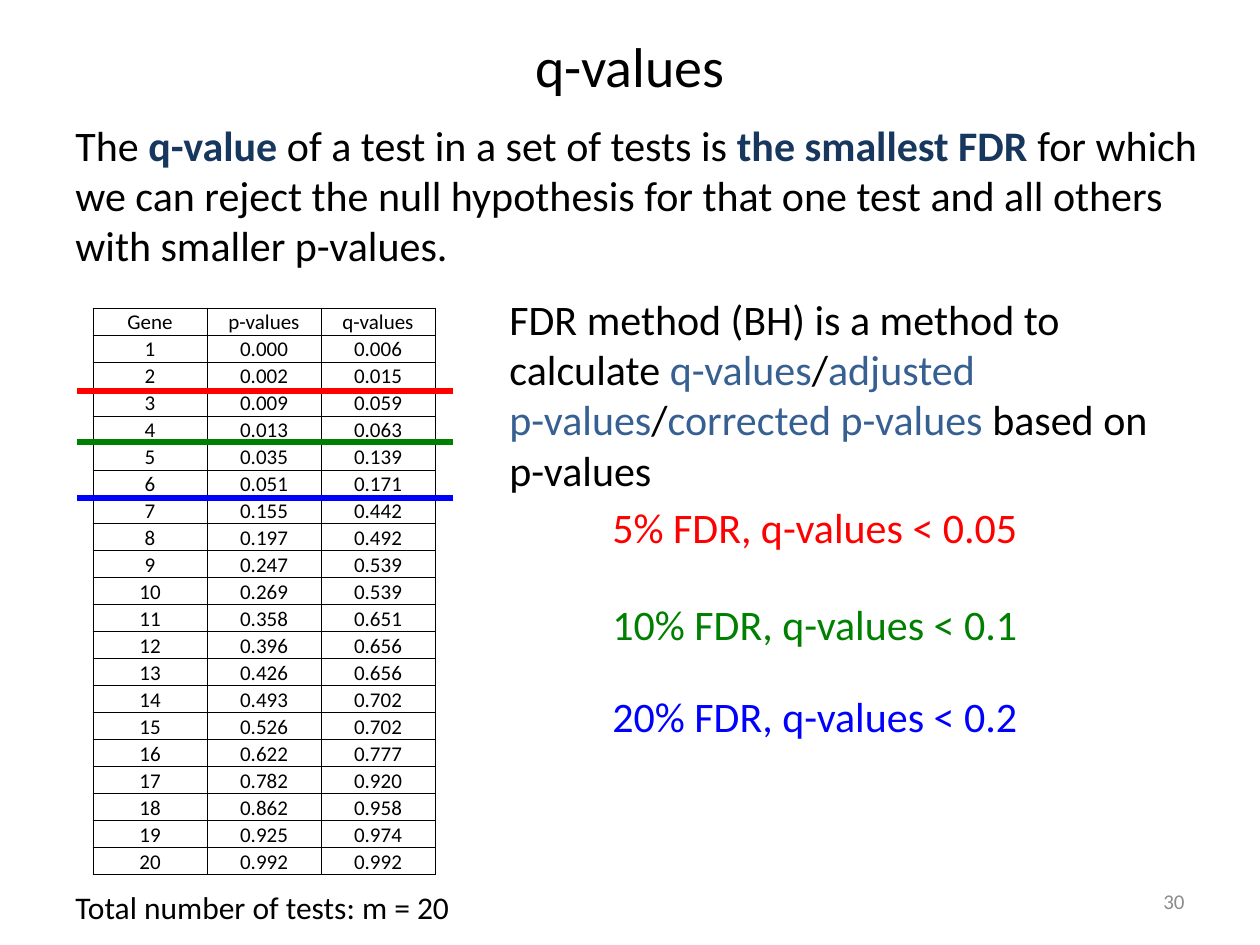
from typing import NamedTuple

import pptx
import pptx.dml.color
import pptx.enum.shapes
import pptx.enum.text
import pptx.oxml
import pptx.oxml.ns
import pptx.util

EMU_PER_PX = 914400 / 126
FONT = "Calibri"
BLACK, NAVY, BLUE, GREY = "000000", "17375E", "376092", "8C8C8C"
ALIGN = pptx.enum.text.PP_ALIGN
ANCHOR = pptx.enum.text.MSO_ANCHOR
AUTOFIT = pptx.enum.text.MSO_AUTO_SIZE


class Run(NamedTuple):
    text: str
    color: str = BLACK
    bold: bool = False


class Box(NamedTuple):
    left: int
    top: int
    width: int
    height: int


class Threshold(NamedTuple):
    label: str
    color: str
    line_y: int
    label_top: int


GENE_ROWS = [
    ("Gene", "p-values", "q-values"),
    ("1", "0.000", "0.006"),
    ("2", "0.002", "0.015"),
    ("3", "0.009", "0.059"),
    ("4", "0.013", "0.063"),
    ("5", "0.035", "0.139"),
    ("6", "0.051", "0.171"),
    ("7", "0.155", "0.442"),
    ("8", "0.197", "0.492"),
    ("9", "0.247", "0.539"),
    ("10", "0.269", "0.539"),
    ("11", "0.358", "0.651"),
    ("12", "0.396", "0.656"),
    ("13", "0.426", "0.656"),
    ("14", "0.493", "0.702"),
    ("15", "0.526", "0.702"),
    ("16", "0.622", "0.777"),
    ("17", "0.782", "0.920"),
    ("18", "0.862", "0.958"),
    ("19", "0.925", "0.974"),
    ("20", "0.992", "0.992"),
]

THRESHOLDS = [
    Threshold("5% FDR, q-values < 0.05", "FF0000", 391, 485),
    Threshold("10% FDR, q-values < 0.1", "008000", 442, 582),
    Threshold("20% FDR, q-values < 0.2", "0000FF", 498, 674),
]


def px(length: int) -> int:
    return round(length * EMU_PER_PX)


def rgb(color: str) -> pptx.dml.color.RGBColor:
    return pptx.dml.color.RGBColor.from_string(color)


def write(frame, runs: list[Run], size=24, align=ALIGN.LEFT, spacing=None, before=None) -> None:
    paragraph = frame.paragraphs[0]
    paragraph.alignment = align
    paragraph.line_spacing = spacing
    paragraph.space_before = before
    for part in runs:
        run = paragraph.add_run()
        run.text = part.text
        run.font.name = FONT
        run.font.size = pptx.util.Pt(size)
        run.font.bold = part.bold
        run.font.color.rgb = rgb(part.color)


def add_text(shapes, box: Box, runs: list[Run], anchor=ANCHOR.TOP, wrap=True,
             autofit=AUTOFIT.NONE, **text_format) -> None:
    frame = shapes.add_textbox(*map(px, box)).text_frame
    frame.word_wrap = wrap
    frame.auto_size = autofit
    frame.vertical_anchor = anchor
    write(frame, runs, **text_format)


def add_cell_borders(cell) -> None:
    properties = cell._tc.get_or_add_tcPr()
    for position, side in enumerate(("lnL", "lnR", "lnT", "lnB")):
        border = pptx.oxml.parse_xml(
            f'<a:{side} {pptx.oxml.ns.nsdecls("a")} w="6350"><a:solidFill>'
            f'<a:srgbClr val="{BLACK}"/></a:solidFill></a:{side}>'
        )
        properties.insert(position, border)


def add_gene_table(shapes, left: int, top: int, column_width: int, row_height: int) -> None:
    row_count, column_count = len(GENE_ROWS), len(GENE_ROWS[0])
    box = Box(left, top, column_width * column_count, row_height * row_count)
    genes = shapes.add_table(row_count, column_count, *map(px, box)).table
    genes.first_row = genes.horz_banding = False
    for column in genes.columns:
        column.width = px(column_width)
    for row, values in zip(genes.rows, GENE_ROWS):
        row.height = px(row_height)
        for cell, value in zip(row.cells, values):
            cell.fill.background()
            cell.vertical_anchor = ANCHOR.BOTTOM
            cell.margin_left = cell.margin_right = cell.margin_top = px(1)
            cell.margin_bottom = 0
            write(cell.text_frame, [Run(value)], size=12, align=ALIGN.CENTER)
            add_cell_borders(cell)


def add_threshold(shapes, threshold: Threshold) -> None:
    members = shapes.add_group_shape().shapes
    y = px(threshold.line_y)
    cutoff = members.add_connector(
        pptx.enum.shapes.MSO_CONNECTOR.STRAIGHT, px(77), y, px(453), y
    )
    cutoff.line.color.rgb = rgb(threshold.color)
    cutoff.line.width = pptx.util.Pt(3)
    cutoff._element.spPr.append(
        pptx.oxml.parse_xml(f'<a:effectLst {pptx.oxml.ns.nsdecls("a")}/>')
    )
    add_text(members, Box(600, threshold.label_top, 450, 72),
             [Run(threshold.label, threshold.color)],
             autofit=AUTOFIT.SHAPE_TO_FIT_TEXT, spacing=1.2)


def main() -> None:
    deck = pptx.Presentation()
    deck.slide_width, deck.slide_height = px(1260), px(945)
    shapes = deck.slides.add_slide(deck.slide_layouts[6]).shapes

    add_text(shapes, Box(63, 26, 1134, 78), [Run("q-values")],
             anchor=ANCHOR.MIDDLE, size=32, align=ALIGN.CENTER)
    add_text(shapes, Box(63, 113, 1155, 166), [
        Run("The "),
        Run("q-value ", NAVY, True),
        Run("of a test in a set of tests is "),
        Run("the smallest FDR ", NAVY, True),
        Run("for which we can reject the null hypothesis for that one test "
            "and all others with smaller p-values."),
    ], before=pptx.util.Pt(4.8))
    add_gene_table(shapes, left=93, top=308, column_width=114, row_height=27)
    add_text(shapes, Box(63, 882, 407, 50), [Run("Total number of tests: m = 20")],
             wrap=False, autofit=AUTOFIT.SHAPE_TO_FIT_TEXT, size=18)
    for threshold in THRESHOLDS:
        add_threshold(shapes, threshold)
    add_text(shapes, Box(497, 287, 700, 165), [
        Run("FDR method (BH) is a method to calculate "),
        Run("q-values", BLUE),
        Run("/"),
        Run("adjusted p-values", BLUE),
        Run("/"),
        Run("corrected p-values", BLUE),
        Run(" based on p-values"),
    ], autofit=AUTOFIT.SHAPE_TO_FIT_TEXT)
    add_text(shapes, Box(903, 876, 294, 50), [Run("30", GREY)],
             anchor=ANCHOR.MIDDLE, size=12, align=ALIGN.RIGHT)

    deck.save("out.pptx")


if __name__ == "__main__":
    main()
